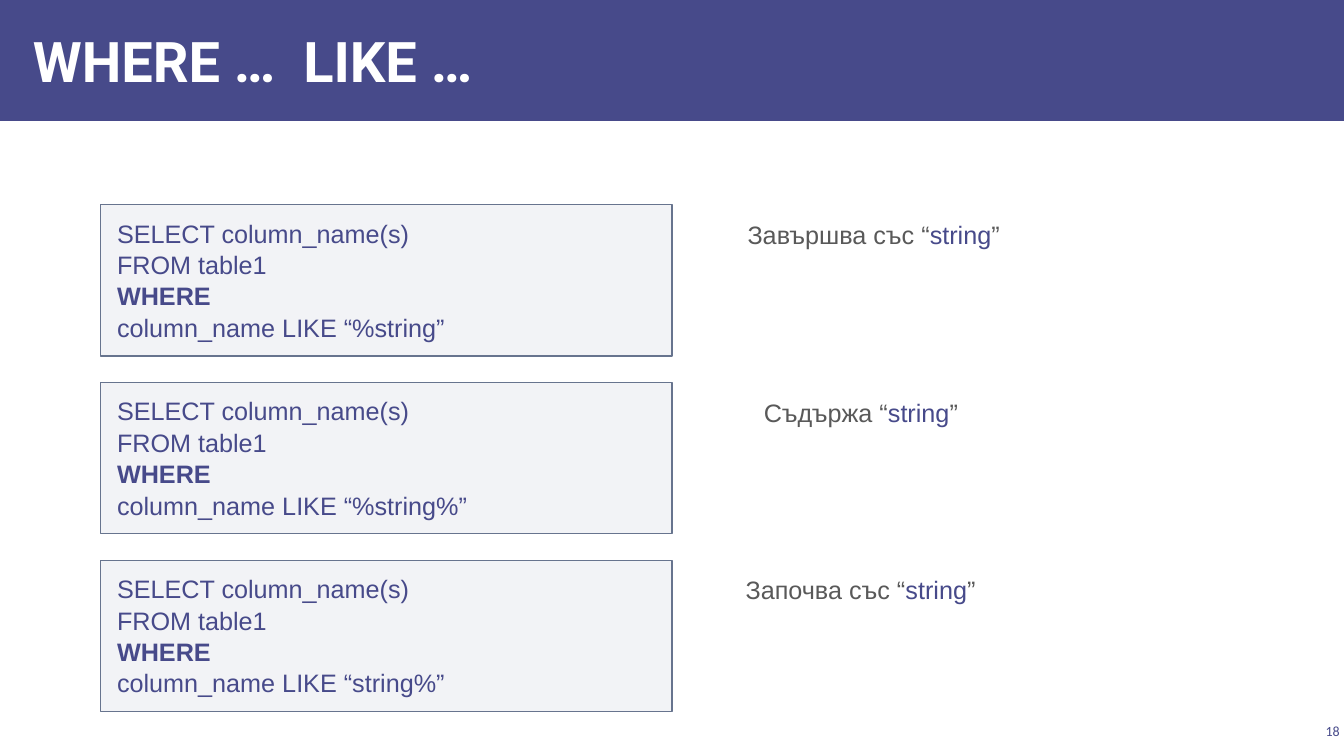
"""Build the slide on SQL WHERE ... LIKE patterns."""
from lxml.etree import SubElement
from pptx import Presentation
from pptx.dml.color import RGBColor
from pptx.enum.shapes import MSO_SHAPE
from pptx.enum.text import MSO_ANCHOR, PP_ALIGN
from pptx.oxml.ns import qn
from pptx.util import Cm, Pt

COLORS = {"indigo": "474A8A", "white": "FFFFFF", "panel": "ACB4C3",
          "edge": "67748E", "gray": "595959"}


def rgb(name):
    return RGBColor.from_string(COLORS[name])


def style(item, face, size, color, bold=False):
    font = item.font
    font.name, font.size, font.bold = face, Pt(size), bold
    font.color.rgb = rgb(color)


deck = Presentation()
deck.slide_width, deck.slide_height = Cm(33.87), Cm(19.05)
slide = deck.slides.add_slide(deck.slide_layouts[6])
shapes = slide.shapes

band = shapes.add_shape(MSO_SHAPE.RECTANGLE, 0, 0, deck.slide_width, Cm(3.05))
band.shadow.inherit = False
band.fill.solid()
band.fill.fore_color.rgb = rgb("indigo")
band.line.fill.background()

title = shapes.add_textbox(Cm(0.53), Cm(0.28), Cm(26.42), Cm(2.46)).text_frame
title.word_wrap = True
title.vertical_anchor = MSO_ANCHOR.MIDDLE
title.margin_left = title.margin_right = Cm(0.3)
title.margin_top = title.margin_bottom = Cm(0.1)
for part in ("WHERE …", " ", "LIKE …"):
    run = title.paragraphs[0].add_run()
    run.text = part
    style(run, "Roboto", 40, "white", True)
    if part == " ":
        run.font._element.set("spc", "1000")

number = shapes.add_textbox(Cm(32.66), Cm(18.14), Cm(1.2), Cm(0.56)).text_frame
number.word_wrap = True
number.vertical_anchor = MSO_ANCHOR.MIDDLE
number.margin_left = number.margin_right = Cm(0.1)
number.margin_top = number.margin_bottom = Cm(0.1)
number.text = "18"
number.paragraphs[0].alignment = PP_ALIGN.RIGHT
style(number.paragraphs[0].runs[0], "Calibri", 10, "indigo")

cases = [("%string", "Завършва със", 18.59),
         ("%string%", "Съдържа", 19),
         ("string%", "Започва със", 18.54)]
for row, (match, label, left) in enumerate(cases):
    top = Cm(5.16 + 4.48 * row)

    panel = shapes.add_shape(MSO_SHAPE.RECTANGLE, Cm(2.54), top, Cm(14.4), Cm(3.81))
    panel.shadow.inherit = False
    panel.fill.solid()
    panel.fill.fore_color.rgb = rgb("panel")
    tint = panel.fill._xPr.find(qn("a:solidFill"))[0]
    SubElement(tint, qn("a:alpha")).set("val", "15000")
    panel.line.color.rgb = rgb("edge")
    panel.line.width = Pt(1)
    query = panel.text_frame
    query.word_wrap = True
    query.vertical_anchor = MSO_ANCHOR.TOP
    query.margin_left = query.margin_right = Cm(0.41)
    query.margin_top = query.margin_bottom = Cm(0.3)
    query.text = f"SELECT column_name(s)\nFROM table1\nWHERE\ncolumn_name LIKE “{match}”"
    for line in query.paragraphs:
        line.alignment = PP_ALIGN.LEFT
        line.line_spacing = 1.04
        style(line.runs[0], "Arial", 18, "indigo", line.text == "WHERE")

    note = shapes.add_textbox(Cm(left), top, Cm(13.46), Cm(3.61)).text_frame
    note.word_wrap = True
    note.margin_left = note.margin_right = Cm(0.25)
    note.margin_top = note.margin_bottom = Cm(0.25)
    note.paragraphs[0].line_spacing = 1.15
    for part, color in ((f"{label} “", "gray"), ("string", "indigo"), ("”", "gray")):
        run = note.paragraphs[0].add_run()
        run.text = part
        style(run, "Arial", 18, color)

deck.save("out.pptx")
